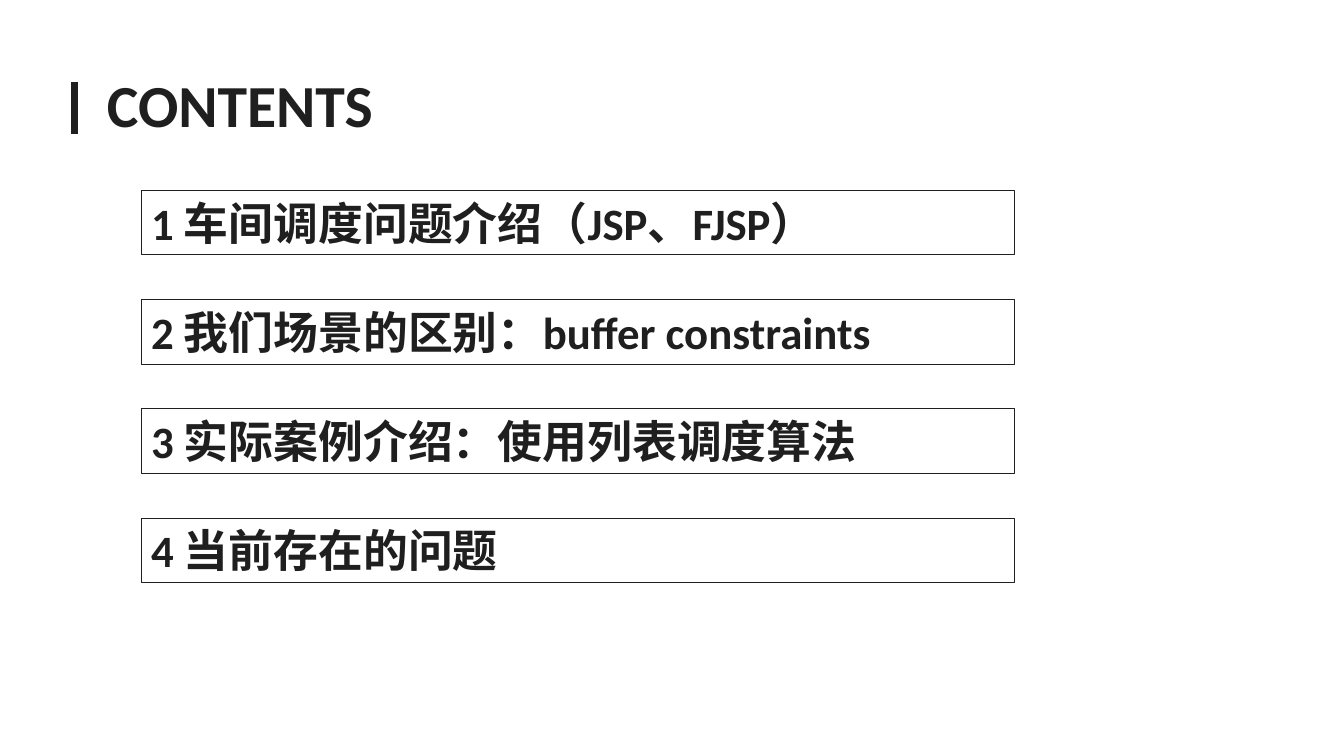
import dataclasses

import pptx
import pptx.dml.color
import pptx.enum.shapes
import pptx.enum.text
import pptx.oxml
import pptx.util

Inches = pptx.util.Inches
Pt = pptx.util.Pt
Anchor = pptx.enum.text.MSO_ANCHOR
AutoSize = pptx.enum.text.MSO_AUTO_SIZE


@dataclasses.dataclass(frozen=True)
class Theme:
    ink: pptx.dml.color.RGBColor = pptx.dml.color.RGBColor(0x1F, 0x1F, 0x1F)
    font: str = "Calibri"
    title_size: float = 42.6
    item_size: float = 32
    bar_width: float = 4.5
    border_width: float = 0.75


def apply_format(target, values):
    for name, value in values.items():
        setattr(target, name, value)


class ContentsPage:
    def __init__(self, deck, theme):
        self.theme = theme
        self.page = deck.slides.add_slide(deck.slide_layouts.get_by_name("Title Only"))

    def set_text(self, box, text, size, wrap, anchor):
        frame = box.text_frame
        apply_format(frame, {
            "word_wrap": wrap,
            "auto_size": AutoSize.SHAPE_TO_FIT_TEXT,
            "vertical_anchor": anchor,
        })
        para = frame.paragraphs[0]
        para.alignment = pptx.enum.text.PP_ALIGN.LEFT
        span = para.add_run()
        span.text = text
        apply_format(span.font, {"name": self.theme.font, "size": Pt(size), "bold": True})
        span.font.color.rgb = self.theme.ink

    def stroke(self, line, width):
        line.color.rgb = self.theme.ink
        line.width = Pt(width)

    def title(self, text, left, top, width, height):
        box = self.page.shapes.title
        apply_format(box, {
            "left": Inches(left), "top": Inches(top),
            "width": Inches(width), "height": Inches(height),
        })
        self.set_text(box, text, self.theme.title_size, False, Anchor.MIDDLE)

    def vertical_bar(self, x, top, bottom):
        bar = self.page.shapes.add_connector(
            pptx.enum.shapes.MSO_CONNECTOR.STRAIGHT,
            Inches(x), Inches(top), Inches(x), Inches(bottom))
        self.stroke(bar.line, self.theme.bar_width)
        properties = bar.element.spPr
        properties.append(pptx.oxml.parse_xml(
            '<a:effectLst xmlns:a="http://schemas.openxmlformats.org/drawingml/2006/main"/>'))

    def item(self, text, left, top, width, height):
        box = self.page.shapes.add_shape(
            pptx.enum.shapes.MSO_SHAPE.RECTANGLE,
            Inches(left), Inches(top), Inches(width), Inches(height))
        box.shadow.inherit = False
        box.fill.background()
        self.stroke(box.line, self.theme.border_width)
        self.set_text(box, text, self.theme.item_size, True, Anchor.TOP)


def main():
    deck = pptx.Presentation()
    apply_format(deck, {"slide_width": Inches(13.33), "slide_height": Inches(7.5)})

    contents = ContentsPage(deck, Theme())
    contents.title("CONTENTS", 0.96, 0.62, 2.85, 0.82)
    contents.vertical_bar(0.74, 0.81, 1.33)

    topics = [
        "车间调度问题介绍（JSP、FJSP）",
        "我们场景的区别：buffer constraints",
        "实际案例介绍：使用列表调度算法",
        "当前存在的问题",
    ]
    first_top, last_top = 1.89, 5.14
    pitch = (last_top - first_top) / (len(topics) - 1)
    for index, topic in enumerate(topics):
        contents.item(f"{index + 1} {topic}", 1.4, first_top + index * pitch, 8.66, 0.64)

    deck.save("out.pptx")


if __name__ == "__main__":
    main()
